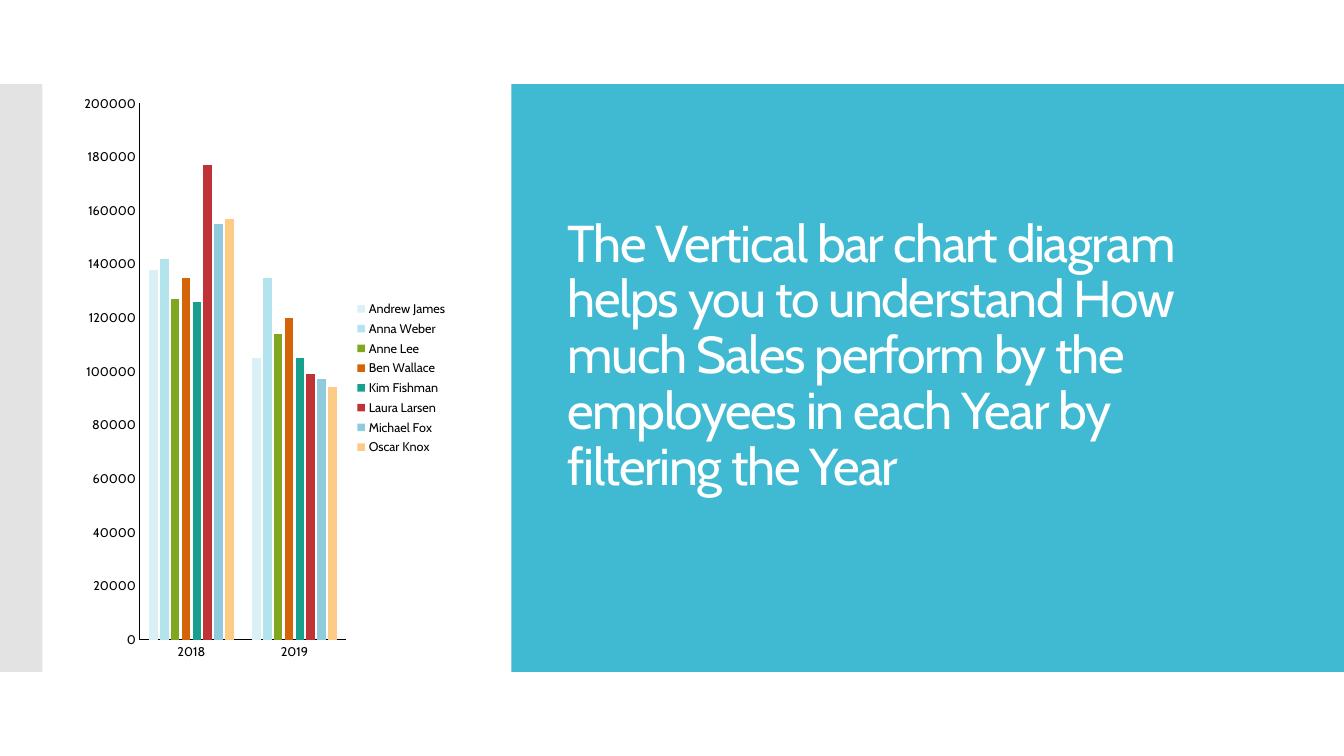
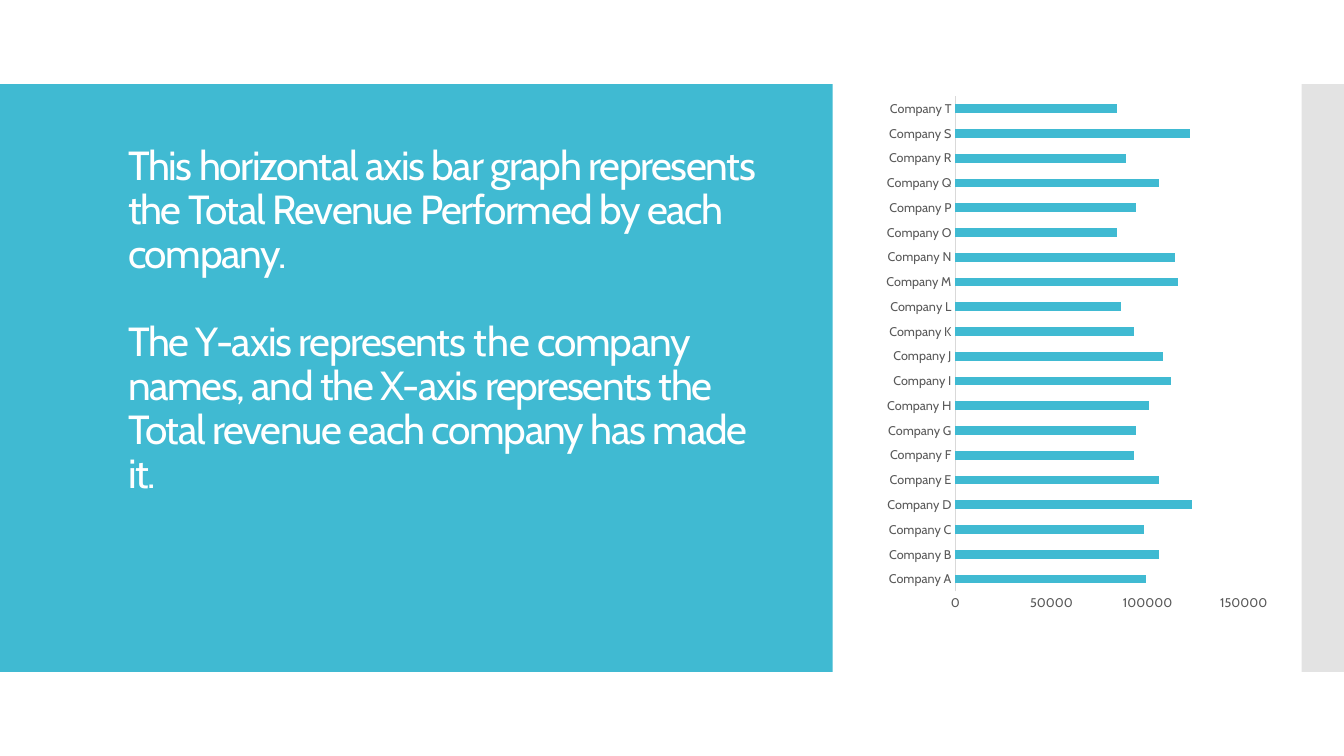
import lxml.etree
import pptx
import pptx.chart.data
import pptx.dml.color
import pptx.enum.chart
import pptx.enum.shapes
import pptx.enum.text
import pptx.oxml
import pptx.oxml.ns
import pptx.util

Inches, Pt = pptx.util.Inches, pptx.util.Pt
ChartType = pptx.enum.chart.XL_CHART_TYPE

SLIDE_WIDTH, SLIDE_HEIGHT = 13.333, 7.5
BAND_TOP, BAND_HEIGHT = SLIDE_HEIGHT / 9, SLIDE_HEIGHT * 7 / 9
PANEL_WIDTH, STRIP_WIDTH, CHART_WIDTH = 8.26, 0.42, 3.78
TITLE_TOP, TITLE_WIDTH, TITLE_HEIGHT = 1.42, 6.64, 3.56

FONT = "Cabin"
ACCENT, GREY, WHITE, BLACK = "40BAD2", "C8C8C8", "FFFFFF", "000000"
LABEL_GREY, LINE_GREY = "595959", "D9D9D9"

EMPLOYEE_SALES = [
    ("Andrew James", "D9F1F6", (138000, 105000)),
    ("Anna Weber", "B3E3ED", (142000, 135000)),
    ("Anne Lee", "81A71F", (127000, 114000)),
    ("Ben Wallace", "D56408", (135000, 120000)),
    ("Kim Fishman", "17A08E", (126000, 105000)),
    ("Laura Larsen", "BF3337", (177000, 99000)),
    ("Michael Fox", "90CBDD", (155000, 97000)),
    ("Oscar Knox", "FCCB85", (157000, 94000)),
]
COMPANY_REVENUE = [
    99000, 106000, 98000, 123000, 106000, 93000, 94000, 101000, 112000, 108000,
    93000, 86000, 116000, 114000, 84000, 94000, 106000, 89000, 122000, 84000,
]


def color(hex_string):
    return pptx.dml.color.RGBColor.from_string(hex_string)


def set_font(font, size, hex_string):
    font.name = FONT
    font.size = Pt(size)
    font.color.rgb = color(hex_string)


def add_band(slide, left, width, hex_string, opacity=None):
    """Add a full-height block behind the title; opacity is in percent."""
    band = slide.shapes.add_shape(
        pptx.enum.shapes.MSO_SHAPE.RECTANGLE,
        Inches(left), Inches(BAND_TOP), Inches(width), Inches(BAND_HEIGHT))
    band.shadow.inherit = False
    band.line.fill.background()
    band.fill.solid()
    band.fill.fore_color.rgb = color(hex_string)
    if opacity is not None:
        fill_color = band.fill._xPr.find(".//" + pptx.oxml.ns.qn("a:srgbClr"))
        alpha = lxml.etree.SubElement(fill_color, pptx.oxml.ns.qn("a:alpha"))
        alpha.set("val", str(opacity * 1000))
    title_element = slide.shapes.title._element
    title_element.addprevious(band._element)


def set_title(slide, left, paragraphs, size):
    """Each paragraph is a list of (text, letter spacing in points)."""
    title = slide.shapes.title
    title.left, title.top = Inches(left), Inches(TITLE_TOP)
    title.width, title.height = Inches(TITLE_WIDTH), Inches(TITLE_HEIGHT)
    text_frame = title.text_frame
    text_frame.word_wrap = True
    text_frame.auto_size = pptx.enum.text.MSO_AUTO_SIZE.NONE
    text_frame.vertical_anchor = pptx.enum.text.MSO_ANCHOR.BOTTOM
    for index, pieces in enumerate(paragraphs):
        paragraph = text_frame.add_paragraph() if index else text_frame.paragraphs[0]
        paragraph.alignment = pptx.enum.text.PP_ALIGN.LEFT
        paragraph.line_spacing = 0.9
        paragraph.space_before = Pt(1.1 * size if index else 0)
        for text, spacing in pieces:
            run = paragraph.add_run()
            run.text = text
            set_font(run.font, size, WHITE)
            run._r.get_or_add_rPr().set("spc", str(spacing * 100))


def add_text_panel_slide(presentation, panel_on_right, paragraphs, size):
    """Return the slide and the left edge of the space for its chart."""
    slide = presentation.slides.add_slide(presentation.slide_layouts[5])
    if panel_on_right:
        panel_left, strip_left = SLIDE_WIDTH - PANEL_WIDTH, 0
        title_left, chart_left = panel_left + 0.46, 0.76
    else:
        panel_left, strip_left = 0, SLIDE_WIDTH - STRIP_WIDTH
        title_left, chart_left = 1.17, SLIDE_WIDTH - 0.76 - CHART_WIDTH
    add_band(slide, panel_left, PANEL_WIDTH, ACCENT)
    add_band(slide, strip_left, STRIP_WIDTH, GREY, opacity=50)
    set_title(slide, title_left, paragraphs, size)
    return slide, chart_left


def set_plot_area(chart, x, y, width, height):
    """Fix the inner plot area, in shares of the chart's size."""
    plot_area = chart._chartSpace.chart.plotArea
    for old_layout in plot_area.findall(pptx.oxml.ns.qn("c:layout")):
        plot_area.remove(old_layout)
    settings = [("layoutTarget", "inner"), ("xMode", "edge"), ("yMode", "edge"),
                ("x", x), ("y", y), ("w", width), ("h", height)]
    children = "".join(f'<c:{name} val="{value}"/>' for name, value in settings)
    plot_area.insert(0, pptx.oxml.parse_xml(
        f'<c:layout {pptx.oxml.ns.nsdecls("c")}>'
        f"<c:manualLayout>{children}</c:manualLayout></c:layout>"))


def format_axis(axis, text_color, line_color):
    axis.has_major_gridlines = False
    axis.major_tick_mark = axis.minor_tick_mark = pptx.enum.chart.XL_TICK_MARK.NONE
    set_font(axis.tick_labels.font, 9, text_color)
    if line_color:
        axis.format.line.color.rgb = color(line_color)
        axis.format.line.width = Pt(0.75)
    else:
        axis.format.line.fill.background()


def add_bar_chart(slide, left, chart_type, categories, series_rows, maximum, unit,
                  text_color, line_colors, gap, plot_area):
    """line_colors holds the category and the value axis colour, None for no line."""
    data = pptx.chart.data.CategoryChartData()
    data.categories = categories
    for name, _, values in series_rows:
        data.add_series(name, values)
    chart = slide.shapes.add_chart(
        chart_type, Inches(left), Inches(BAND_TOP),
        Inches(CHART_WIDTH), Inches(BAND_HEIGHT), data).chart
    set_font(chart.font, 10, BLACK)
    chart.has_title = False
    chart.has_legend = False
    plot = chart.plots[0]
    plot.vary_by_categories = False
    plot.gap_width = gap
    for series, (_, fill_color, _) in zip(plot.series, series_rows):
        series.invert_if_negative = False
        series.format.fill.solid()
        series.format.fill.fore_color.rgb = color(fill_color)
    for axis, line_color in zip((chart.category_axis, chart.value_axis), line_colors):
        format_axis(axis, text_color, line_color)
    chart.value_axis.minimum_scale = 0
    chart.value_axis.maximum_scale = maximum
    chart.value_axis.major_unit = unit
    chart.value_axis.tick_labels.number_format = "General"
    chart.value_axis.tick_labels.number_format_is_linked = False
    set_plot_area(chart, *plot_area)
    return chart


def add_employee_slide(presentation):
    text = ("The Vertical bar chart diagram helps you to understand How much Sales "
            "perform by the employees in each Year by filtering the Year")
    slide, chart_left = add_text_panel_slide(presentation, True, [[(text, -1)]], 37)
    chart = add_bar_chart(
        slide, chart_left, ChartType.COLUMN_CLUSTERED, ["2018", "2019"], EMPLOYEE_SALES,
        200000, 20000, BLACK, (BLACK, BLACK), 219, (0.166, 0.033, 0.541, 0.912))
    chart.plots[0].overlap = -27
    chart.has_legend = True
    chart.legend.position = pptx.enum.chart.XL_LEGEND_POSITION.RIGHT
    chart.legend.include_in_layout = False
    set_font(chart.legend.font, 9, BLACK)


def add_company_slide(presentation):
    paragraphs = [
        [("This horizontal axis bar graph represents the Total Revenue Performed "
          "by each company.", -1)],
        [("The Y-axis represents ", -1), ("the", 0),
         (" company names, and the X-axis represents the Total revenue each company "
          "has made it.", -1)],
    ]
    slide, chart_left = add_text_panel_slide(presentation, False, paragraphs, 29)
    companies = [f"Company {letter}" for letter in "ABCDEFGHIJKLMNOPQRST"]
    add_bar_chart(
        slide, chart_left, ChartType.BAR_CLUSTERED, companies,
        [("Series 1", ACCENT, COMPANY_REVENUE)], 150000, 50000,
        LABEL_GREY, (LINE_GREY, None), 182, (0.178, 0.021, 0.76, 0.842))


def main():
    presentation = pptx.Presentation()
    presentation.slide_width = Inches(SLIDE_WIDTH)
    presentation.slide_height = Inches(SLIDE_HEIGHT)
    add_employee_slide(presentation)
    add_company_slide(presentation)
    presentation.save("out.pptx")


if __name__ == "__main__":
    main()
